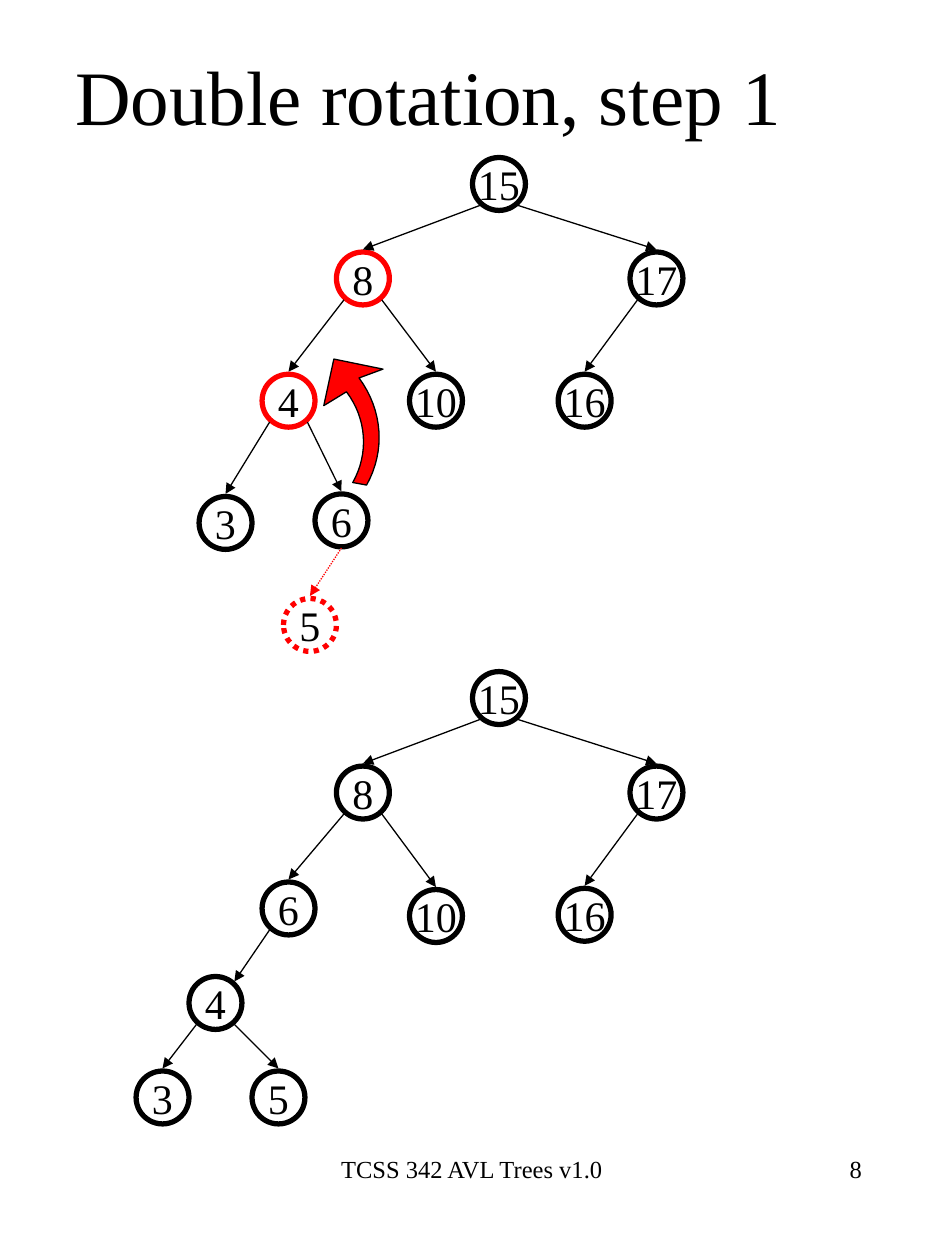
from lxml import etree
from pptx import Presentation
from pptx.dml.color import RGBColor
from pptx.enum import dml, shapes, text
from pptx.oxml import ns
from pptx.util import Inches, Pt

COLORS = {"ink": "000000", "mark": "FF0000"}
SIZE = 0.42
MID = SIZE / 2

deck = Presentation()
deck.slide_width, deck.slide_height = Inches(7.5), Inches(10)
slide = deck.slides.add_slide(deck.slide_layouts[6])


def write(shape, words, size, align, anchor, wrap=True):
    """Put one styled paragraph into a shape."""
    frame = shape.text_frame
    frame.word_wrap = wrap
    frame.vertical_anchor = anchor
    para = frame.paragraphs[0]
    para.text = words
    para.alignment = align
    para.font.size = Pt(size)
    para.font.name = "Times New Roman"
    para.font.color.rgb = RGBColor.from_string(COLORS["ink"])


def stroke(line, color, width, dotted=False):
    """Set the colour, width and dash of a line."""
    line.color.rgb = RGBColor.from_string(COLORS[color])
    line.width = Pt(width)
    if dotted:
        line.dash_style = dml.MSO_LINE.ROUND_DOT


ALIGN, ANCHOR = text.PP_ALIGN, text.MSO_ANCHOR
labels = [
    ("Double rotation, step 1", (0.5, 0.25, 6.38, 1), 44, ALIGN.LEFT, ANCHOR.MIDDLE),
    ("TCSS 342 AVL Trees v1.0", (2.56, 9.11, 2.37, 0.67), 14, ALIGN.CENTER, ANCHOR.TOP),
    ("8", (5.38, 9.11, 1.56, 0.67), 14, ALIGN.RIGHT, ANCHOR.TOP),
]
for words, box, size, align, anchor in labels:
    area = slide.shapes.add_textbox(*map(Inches, box))
    write(area, words, size, align, anchor)

# Each node: left, top, parent
before = {
    15: (3.75, 1.25, None), 8: (2.67, 2, 15), 17: (5, 2, 15),
    4: (2.08, 2.97, 8), 10: (3.25, 2.97, 8), 16: (4.43, 2.97, 17),
    3: (1.58, 3.94, 4), 6: (2.5, 3.92, 4), 5: (2.25, 4.75, 6),
}
after = {
    15: (3.75, 5.33, None), 8: (2.67, 6.08, 15), 17: (5, 6.08, 15),
    6: (2.08, 7, 8), 10: (3.25, 7.06, 8), 16: (4.43, 7.05, 17),
    4: (1.5, 7.75, 6), 3: (1.08, 8.5, 4), 5: (2, 8.5, 4),
}
for tree, marked, added in ((before, (8, 4), 5), (after, (), None)):
    for key, (left, top, parent) in tree.items():
        new = key == added
        node = slide.shapes.add_shape(
            shapes.MSO_SHAPE.OVAL, *map(Inches, (left, top, SIZE, SIZE)))
        node.shadow.inherit = False
        node.fill.background()
        stroke(node.line, "mark" if new or key in marked else "ink", 3, new)
        write(node, str(key), 24, ALIGN.CENTER, ANCHOR.MIDDLE, False)
        if parent is None:
            continue

        # Edges leave a lower corner of the parent and end above the child
        px, py, _ = tree[parent]
        side = 0.15 if left > px else -0.15
        start = (px + MID + side, py + 0.38)
        end = (left + MID, top - 0.02)
        if new:
            start = (px + MID, py + 0.43)
        elif tree is after and key == 4:
            end = (left + MID + 0.15, top + 0.04)
        edge = slide.shapes.add_connector(
            shapes.MSO_CONNECTOR.STRAIGHT, *map(Inches, start + end))
        stroke(edge.line, "mark" if new else "ink", 0.74, new)
        etree.SubElement(edge.line._get_or_add_ln(), ns.qn("a:tailEnd"), type="triangle")
        etree.SubElement(edge._element.spPr, ns.qn("a:effectLst"))

# The turning arrow: two cubic curves joined by straight sides
inner = [(2.75, 3.11), (2.91, 3.32), (2.93, 3.6), (2.8, 3.83)]
outer = [(2.91, 3.85), (3.06, 3.58), (3.04, 3.26), (2.85, 3)]
head = [(3.04, 2.93), (2.65, 2.85), (2.57, 3.22)]
STEPS = 16
points = []
for curve in (inner, outer):
    for step in range(STEPS + 1):
        t = step / STEPS
        parts = ((1 - t) ** 3, 3 * t * (1 - t) ** 2, 3 * t * t * (1 - t), t ** 3)
        points.append(tuple(sum(w * p[i] for w, p in zip(parts, curve)) for i in (0, 1)))
points = [(Inches(x), Inches(y)) for x, y in points + head]
pen = slide.shapes.build_freeform(*points[0])
pen.add_line_segments(points[1:], close=True)
arrow = pen.convert_to_shape()
arrow.shadow.inherit = False
arrow.fill.solid()
arrow.fill.fore_color.rgb = RGBColor.from_string(COLORS["mark"])
stroke(arrow.line, "ink", 0.74)

deck.save("out.pptx")
